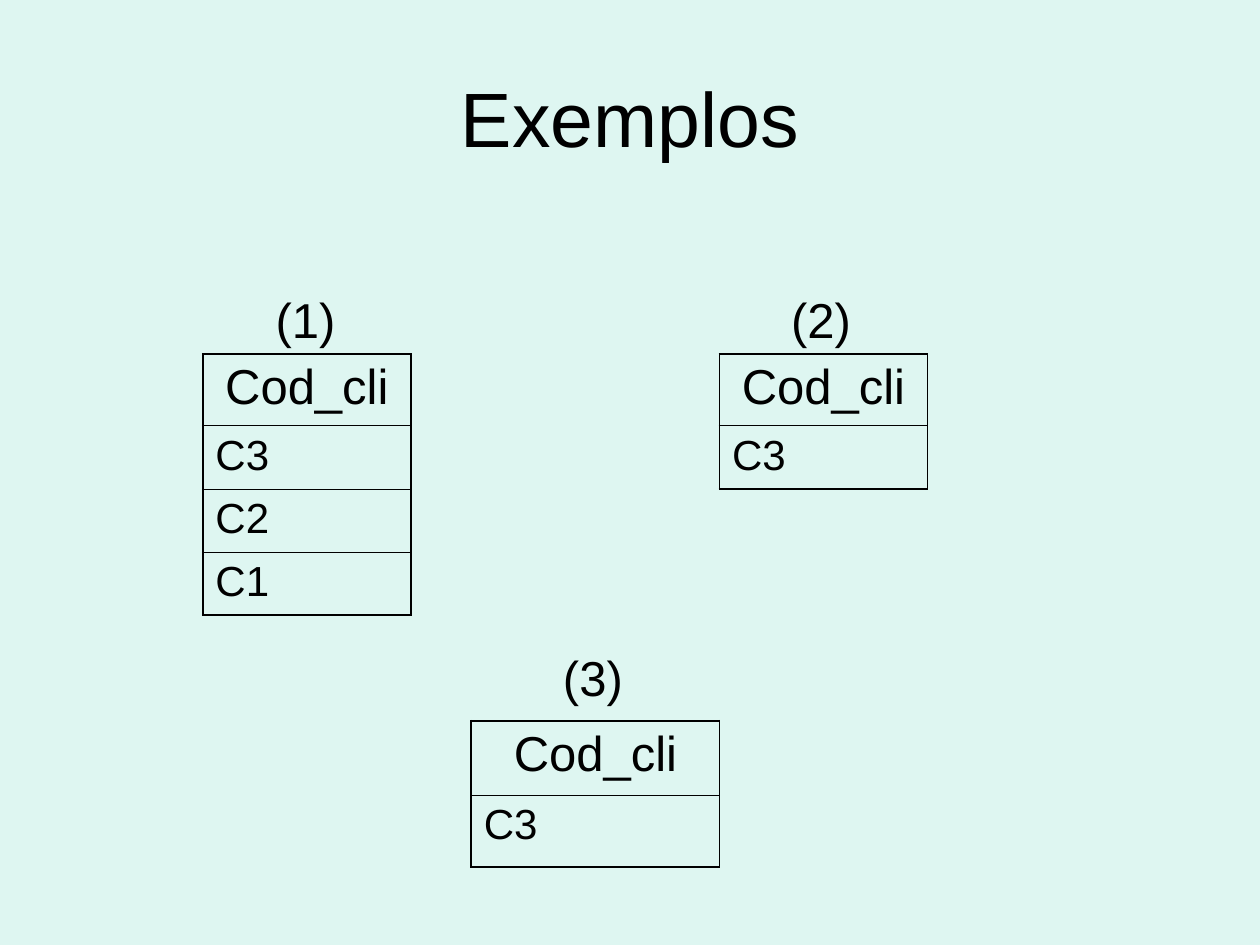
from pptx import Presentation
from pptx.dml.color import RGBColor as RGB
from pptx.enum.text import MSO_ANCHOR as Anchor, MSO_AUTO_SIZE as Fit, PP_ALIGN as Align
from pptx.util import Inches, Pt
from lxml.etree import SubElement as Sub
from pptx.oxml.ns import qn


def style(par, size, align=Align.LEFT):
    par.alignment = align
    for run in par.runs:
        run.font.name = "Arial"
        run.font.size = Pt(size)
        run.font.color.rgb = RGB.from_string("000000")


def edge(cell, side, width):
    line = Sub(cell._tc.get_or_add_tcPr(), qn("a:ln" + side), w=str(Pt(width)))
    fill = Sub(line, qn("a:solidFill"))
    Sub(fill, qn("a:srgbClr"), val="000000")


prs = Presentation()
prs.slide_width, prs.slide_height = Inches(10), Inches(7.5)
slide = prs.slides.add_slide(prs.slide_layouts[6])
back = slide.background.fill
back.solid()
back.fore_color.rgb = RGB.from_string("DEF6F1")

# Title
box = slide.shapes.add_textbox(Inches(0.5), Inches(0.3), Inches(9), Inches(1.25))
frame = box.text_frame
frame.word_wrap = True
frame.vertical_anchor = Anchor.MIDDLE
frame.text = "Exemplos"
style(frame.paragraphs[0], 44, Align.CENTER)

# Result tables: left, top, width, head height, row height, codes
tables = [
    (1.61, 2.81, 1.65, 0.57, 0.5, ["C3", "C2", "C1"]),
    (5.71, 2.81, 1.65, 0.57, 0.5, ["C3"]),
    (3.74, 5.72, 1.97, 0.59, 0.57, ["C3"]),
]
for left, top, width, head, high, codes in tables:
    rows = ["Cod_cli"] + codes
    last = len(rows) - 1
    table = slide.shapes.add_table(
        len(rows), 1, Inches(left), Inches(top), Inches(width),
        Inches(head + high * last)).table
    table.first_row = table.horz_banding = False
    for i, text in enumerate(rows):
        table.rows[i].height = Inches(high if i else head)
        cell = table.cell(i, 0)
        cell.text = text
        if i:
            style(cell.text_frame.paragraphs[0], 24)
        else:
            style(cell.text_frame.paragraphs[0], 28, Align.CENTER)
        # Thick outer frame, thin rules between rows
        edge(cell, "L", 1.08)
        edge(cell, "R", 1.08)
        edge(cell, "T", 0.45 if i else 1.08)
        edge(cell, "B", 1.08 if i == last else 0.45)
        cell.fill.background()

# Numbers above the tables
for text, left, top in [("(1)", 2.09, 2.25), ("(2)", 6.18, 2.25), ("(3)", 4.37, 5.09)]:
    box = slide.shapes.add_textbox(Inches(left), Inches(top), Inches(0.7), Inches(0.57))
    frame = box.text_frame
    frame.word_wrap = False
    frame.auto_size = Fit.NONE
    frame.text = text
    style(frame.paragraphs[0], 28)

prs.save("out.pptx")
